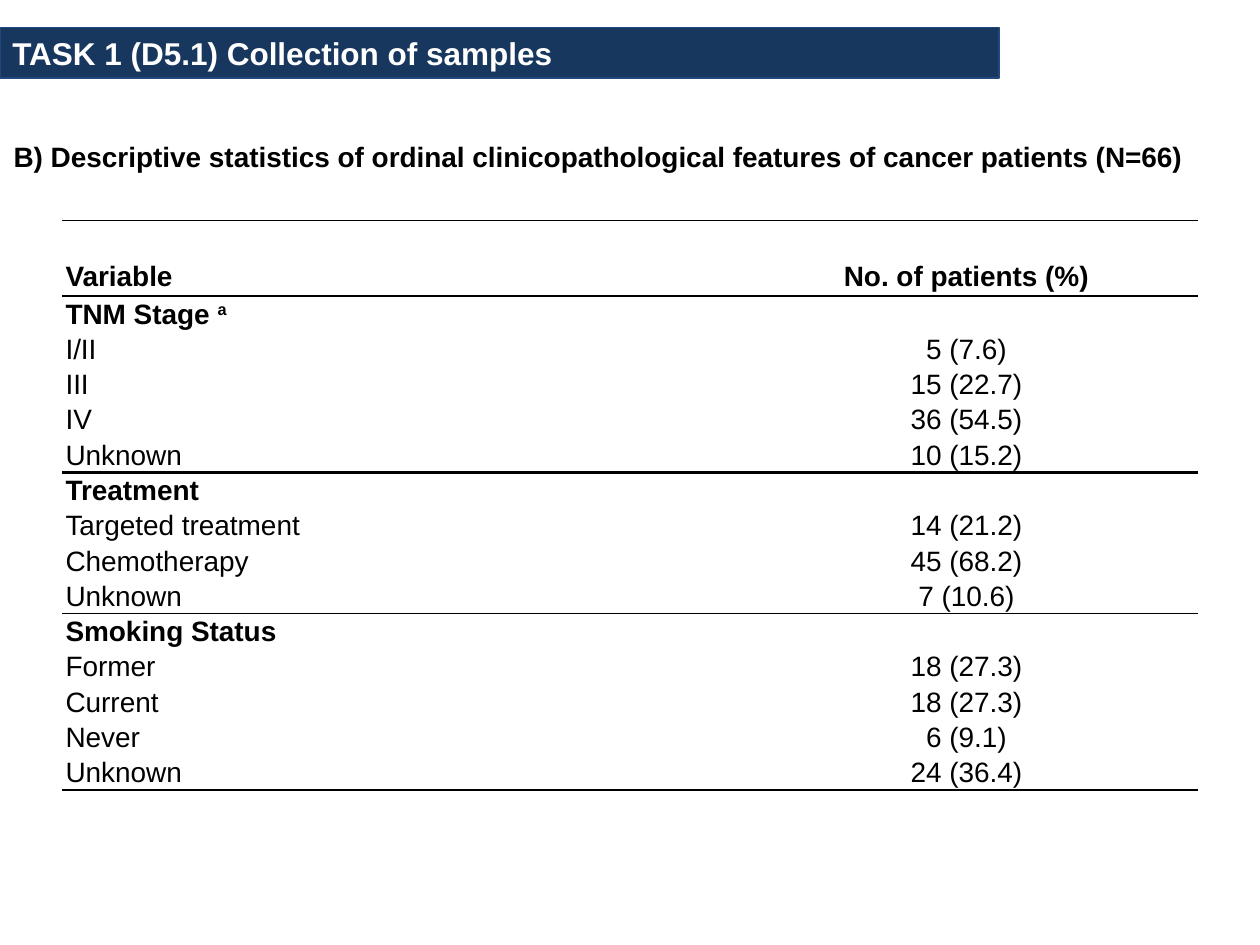
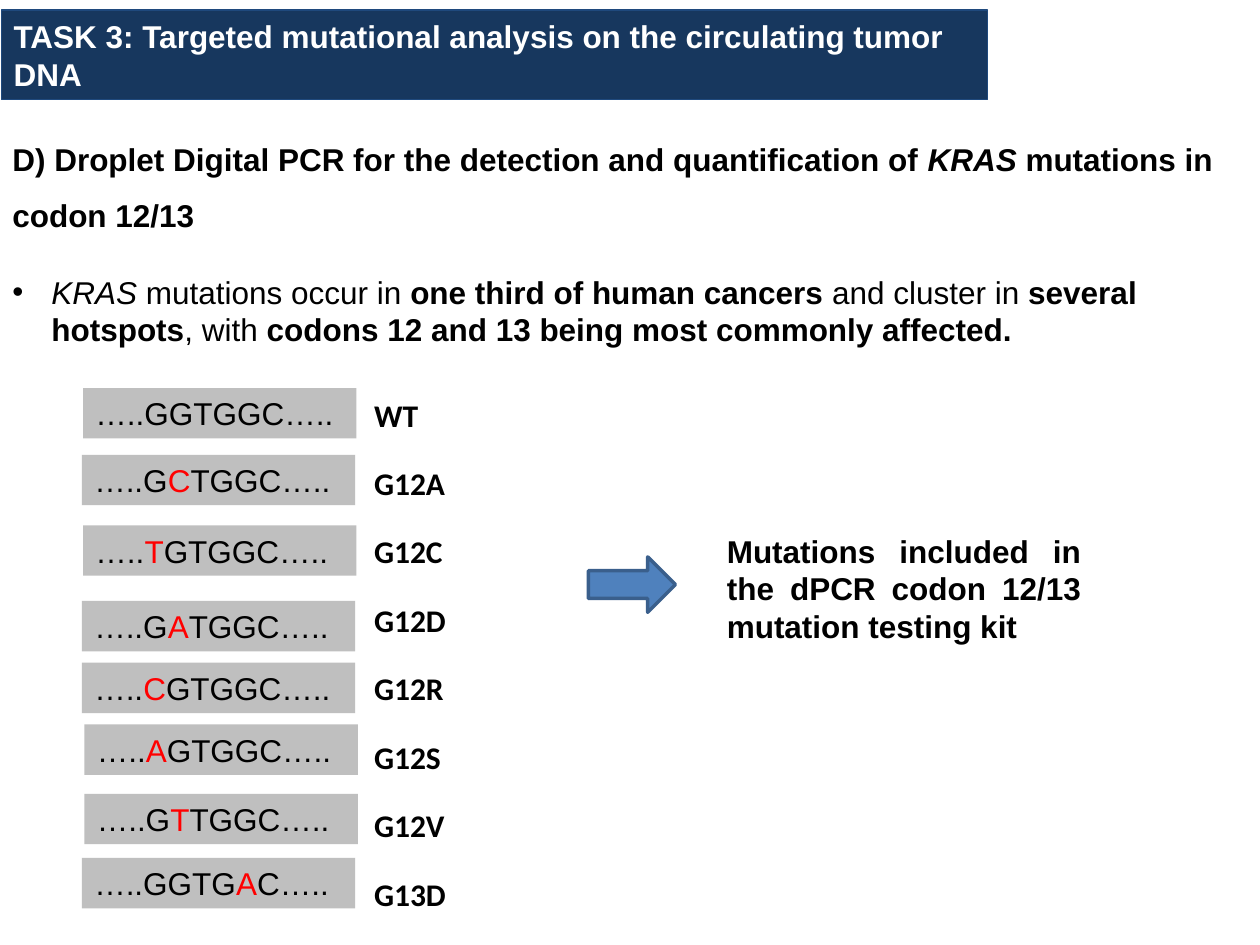
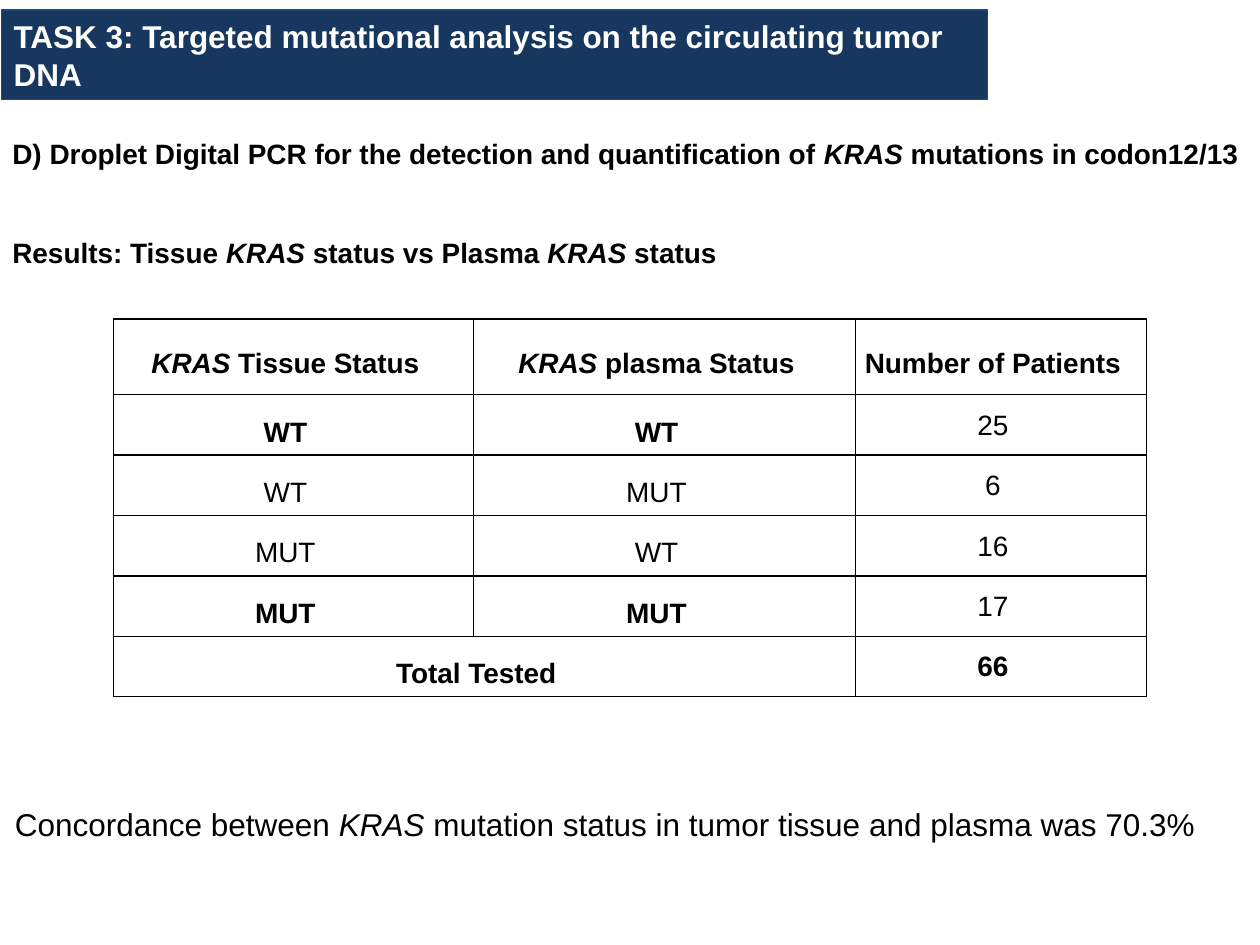
import pptx
import pptx.util
import pptx.dml.color
import pptx.enum.shapes
import pptx.enum.text
import pptx.oxml
import pptx.oxml.ns
from lxml import etree

Inches, Pt = pptx.util.Inches, pptx.util.Pt
ALIGN, ANCHOR = pptx.enum.text.PP_ALIGN, pptx.enum.text.MSO_ANCHOR
SHAPE = pptx.enum.shapes.MSO_SHAPE
qn = pptx.oxml.ns.qn

# Shared colours and table style
NAVY, NAVY_LINE, GREY = "17375E", "1F497D", "BFBFBF"
BLUE, BLUE_LINE = "4F81BD", "3A5F8C"
BLACK, WHITE, RED = "000000", "FFFFFF", "FF0000"
NO_STYLE = "{2D5ABB26-0587-4C30-8999-92F81FD0307C}"

# Content: a line of text is a string or a list of strings and (text, format) runs
KRAS = ("KRAS", {"italic": True})
TASK_1 = "TASK 1 (D5.1) Collection of samples"
TASK_3 = "TASK 3: Targeted mutational analysis on the circulating tumor DNA"
DETECTION = "D) Droplet Digital PCR for the detection and quantification of "

FEATURES_HEADING = ("B) Descriptive statistics of ordinal clinicopathological "
                    "features of cancer patients (N=66)")
FEATURES_HEADER = ("Variable", "No. of patients (%)")
# Section title, rule below it in points, rows
FEATURES = [
    (["TNM Stage ", ("a", {"baseline": 30})], 1.5,
     [("I/II", "5 (7.6)"), ("III", "15 (22.7)"), ("IV", "36 (54.5)"),
      ("Unknown", "10 (15.2)")]),
    ("Treatment", 1,
     [("Targeted treatment", "14 (21.2)"), ("Chemotherapy", "45 (68.2)"),
      ("Unknown", "7 (10.6)")]),
    ("Smoking Status", 1,
     [("Former", "18 (27.3)"), ("Current", "18 (27.3)"), ("Never", "6 (9.1)"),
      ("Unknown", "24 (36.4)")]),
]

PCR_HEADING = [DETECTION, KRAS, " mutations in codon 12/13"]
BOLD = {"bold": True}
PCR_BULLET = [
    KRAS, " mutations occur in ", ("one third of human cancers ", BOLD),
    "and cluster in ", ("several hotspots", BOLD), ", with ",
    ("codons 12 and 13 being most commonly affected.", BOLD),
]
# Label, left, top, bases before the change, changed base, bases after it
SEQUENCES = [
    ("WT", 0.66, 3.08, "GGTGGC", "", ""),
    ("G12A", 0.65, 3.61, "G", "C", "TGGC"),
    ("G12C", 0.66, 4.17, "", "T", "GTGGC"),
    ("G12D", 0.65, 4.77, "G", "A", "TGGC"),
    ("G12R", 0.65, 5.26, "", "C", "GTGGC"),
    ("G12S", 0.67, 5.75, "", "A", "GTGGC"),
    ("G12V", 0.67, 6.30, "G", "T", "TGGC"),
    ("G13D", 0.65, 6.81, "GGTG", "A", "C"),
]
KIT_NOTE = "Mutations included in the dPCR codon 12/13 mutation testing kit"

RESULTS_HEADING = [DETECTION, KRAS, " mutations in codon12/13"]
RESULTS_SUBHEADING = ["Results: Tissue ", KRAS, " status vs Plasma ", KRAS, " status"]
RESULTS_HEADER = ([KRAS, " Tissue Status"], [KRAS, " plasma Status"],
                  "Number of Patients")
RESULTS = [("WT", "WT", "25"), ("WT", "MUT", "6"), ("MUT", "WT", "16"),
           ("MUT", "MUT", "17")]
RESULTS_TOTAL = ("Total Tested", "", "66")
CONCORDANCE = ["Concordance between ", KRAS,
               " mutation status in tumor tissue and plasma was 70.3%"]


def rgb(color):
    return pptx.dml.color.RGBColor.from_string(color)


def write(tf, text, size=18, font="Arial", color=BLACK, bold=False,
          align=ALIGN.LEFT, spacing=1.0, before=0, after=0, bullet=False):
    """Put one paragraph into the frame, using its first one while it is empty."""
    p = tf.paragraphs[0]
    if p.runs:
        p = tf.add_paragraph()
    p.alignment, p.line_spacing = align, spacing
    p.space_before, p.space_after = Pt(before), Pt(after)
    if bullet:
        pPr = p._p.get_or_add_pPr()
        pPr.set("marL", str(Inches(0.31)))
        pPr.set("indent", str(-Inches(0.31)))
        etree.SubElement(pPr, qn("a:buFont")).set("typeface", "Arial")
        etree.SubElement(pPr, qn("a:buChar")).set("char", "•")
    for part in [text] if isinstance(text, str) else text:
        words, extra = (part, {}) if isinstance(part, str) else part
        r = p.add_run()
        r.text = words
        r.font.name, r.font.size = font, Pt(size)
        r.font.bold = extra.get("bold", bold)
        r.font.italic = extra.get("italic", False)
        r.font.color.rgb = rgb(extra.get("color", color))
        if "baseline" in extra:
            r._r.get_or_add_rPr().set("baseline", str(extra["baseline"] * 1000))


def add_text(s, x, y, w, h):
    tf = s.shapes.add_textbox(Inches(x), Inches(y), Inches(w), Inches(h)).text_frame
    tf.word_wrap = True
    return tf


def add_box(s, kind, x, y, w, h, fill, line=None, weight=0.75):
    sp = s.shapes.add_shape(kind, Inches(x), Inches(y), Inches(w), Inches(h))
    sp.shadow.inherit = False
    sp.fill.solid()
    sp.fill.fore_color.rgb = rgb(fill)
    if line:
        sp.line.color.rgb = rgb(line)
        sp.line.width = Pt(weight)
    else:
        sp.line.fill.background()
    sp.text_frame.word_wrap = True
    return sp


def add_slide(prs, title, x, y, w, h):
    """Add a blank slide with the navy title band."""
    s = prs.slides.add_slide(prs.slide_layouts[6])
    tf = add_box(s, SHAPE.RECTANGLE, x, y, w, h, NAVY, NAVY_LINE).text_frame
    tf.vertical_anchor = ANCHOR.MIDDLE
    write(tf, title, color=WHITE, bold=True)
    return s


def add_grid(s, x, y, widths, heights):
    shape = s.shapes.add_table(len(heights), len(widths), Inches(x), Inches(y),
                               Inches(sum(widths)), Inches(sum(heights)))
    tbl = shape.table
    tbl.first_row = tbl.horz_banding = False
    tbl._tbl.tblPr.find(qn("a:tableStyleId")).text = NO_STYLE
    for col, width in zip(tbl.columns, widths):
        col.width = Inches(width)
    for row, height in zip(tbl.rows, heights):
        row.height = Inches(height)
    return tbl


def format_cell(cell, text, insets, borders, anchor=ANCHOR.MIDDLE, **style):
    """Fill a cell; borders maps a side (L, R, T, B) to a width in points."""
    cell.margin_left, cell.margin_right = map(Inches, insets)
    cell.margin_top = cell.margin_bottom = 0
    cell.vertical_anchor = anchor
    tcPr = cell._tc.get_or_add_tcPr()
    for side in "LRTB":
        ln = etree.SubElement(tcPr, qn("a:ln" + side))
        if side in borders:
            ln.set("w", str(Pt(borders[side])))
            fill = etree.SubElement(ln, qn("a:solidFill"))
            etree.SubElement(fill, qn("a:srgbClr"), val=BLACK)
        else:
            etree.SubElement(ln, qn("a:noFill"))
    cell.fill.background()
    if text:
        write(cell.text_frame, text, size=16, **style)
    else:
        cell.text_frame.paragraphs[0]._p.get_or_add_endParaRPr().set("sz", "1200")


def build_features(prs):
    s = add_slide(prs, TASK_1, 0, 0.22, 7.93, 0.4)
    write(add_text(s, 0.01, 1.06, 10, 0.36), FEATURES_HEADING, size=16, bold=True)

    # Each row: cells, bold, borders
    rows = [(("", ""), False, {"T": 1}), (FEATURES_HEADER, True, {"B": 1.5})]
    rule = 1.5
    for title, end_rule, entries in FEATURES:
        rows.append(((title, ""), True, {"T": rule}))
        rows += [(entry, False, {}) for entry in entries[:-1]]
        rows.append((entries[-1], False, {"B": end_rule}))
        rule = end_rule
    heights = [0.32 if cells is FEATURES_HEADER else 0.28 for cells, _, _ in rows]
    tbl = add_grid(s, 0.49, 1.75, (5.34, 3.68), heights)
    for i, (cells, bold, borders) in enumerate(rows):
        for j, text in enumerate(cells):
            format_cell(tbl.cell(i, j), text, (0.03, 0.03), borders, bold=bold,
                        spacing=1.05, align=ALIGN.CENTER if j else ALIGN.LEFT)


def build_mutations(prs):
    s = add_slide(prs, TASK_3, 0.01, 0.08, 7.83, 0.71)
    tf = add_text(s, 0, 0.91, 10, 2)
    write(tf, PCR_HEADING, bold=True, spacing=1.5)
    write(tf, PCR_BULLET, before=22, bullet=True)

    # Sequences with the changed base in red, and their labels
    labels = add_text(s, 2.87, 3.07, 0.99, 4.25)
    for label, x, y, head, base, tail in SEQUENCES:
        sp = add_box(s, SHAPE.RECTANGLE, x, y, 2.17, 0.4, GREY)
        runs = ["….." + head, (base, {"color": RED}), tail + "….."]
        if not base:
            runs = "….." + head + "….."
        write(sp.text_frame, runs)
        write(labels, label, font="Calibri", bold=True, spacing=1.07, after=16)

    # Arrow to the kit note
    add_box(s, SHAPE.RIGHT_ARROW, 4.67, 4.42, 0.69, 0.44, BLUE, BLUE_LINE, 2)
    write(add_text(s, 5.67, 4.17, 3.01, 1.01), KIT_NOTE, bold=True, align=ALIGN.JUSTIFY)


def build_results(prs):
    s = add_slide(prs, TASK_3, 0.01, 0.08, 7.83, 0.71)
    tf = add_text(s, 0, 0.9, 10, 1.4)
    write(tf, RESULTS_HEADING, size=16, bold=True, spacing=1.5)
    write(tf, RESULTS_SUBHEADING, size=16, bold=True, spacing=1.5, before=28)

    # Status table: agreeing statuses, the header and the total are bold
    rows = [RESULTS_HEADER, *RESULTS, RESULTS_TOTAL]
    tbl = add_grid(s, 0.9, 2.53, (2.86, 3.03, 2.31), [0.6] + [0.48] * (len(rows) - 1))
    for i, cells in enumerate(rows):
        outer = cells in (RESULTS_HEADER, RESULTS_TOTAL)
        for j, text in enumerate(cells):
            count = j == 2 and i > 0
            format_cell(tbl.cell(i, j), text, (0.01, 0.14), dict.fromkeys("LRTB", 1),
                        anchor=ANCHOR.TOP if count else ANCHOR.MIDDLE,
                        bold=outer or (cells[0] == cells[1] and not count),
                        align=ALIGN.CENTER, spacing=1.5, after=6)
    last = len(rows) - 1
    tbl.cell(last, 0).merge(tbl.cell(last, 1))

    write(add_text(s, 0.02, 6.34, 10, 0.4), CONCORDANCE)


def main():
    prs = pptx.Presentation()
    prs.slide_width, prs.slide_height = Inches(10), Inches(7.5)
    build_features(prs)
    build_mutations(prs)
    build_results(prs)
    prs.save("out.pptx")


if __name__ == "__main__":
    main()
